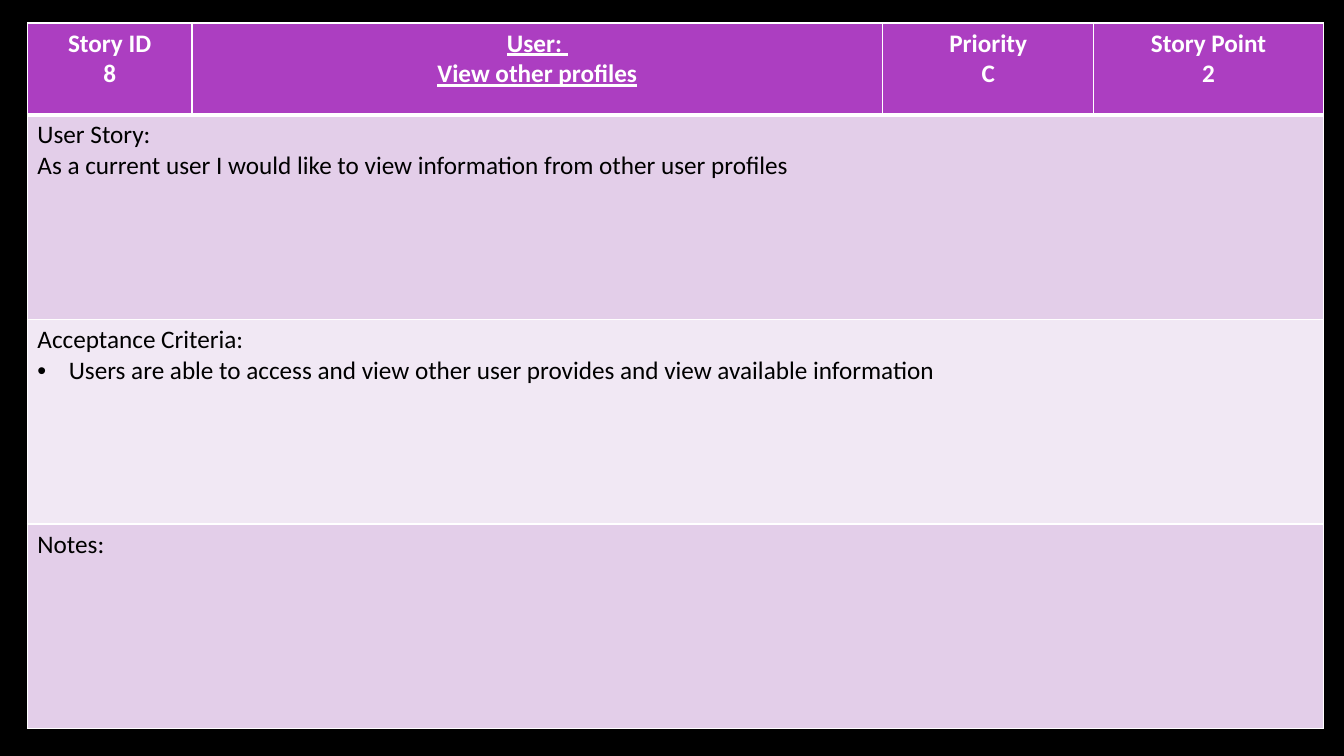
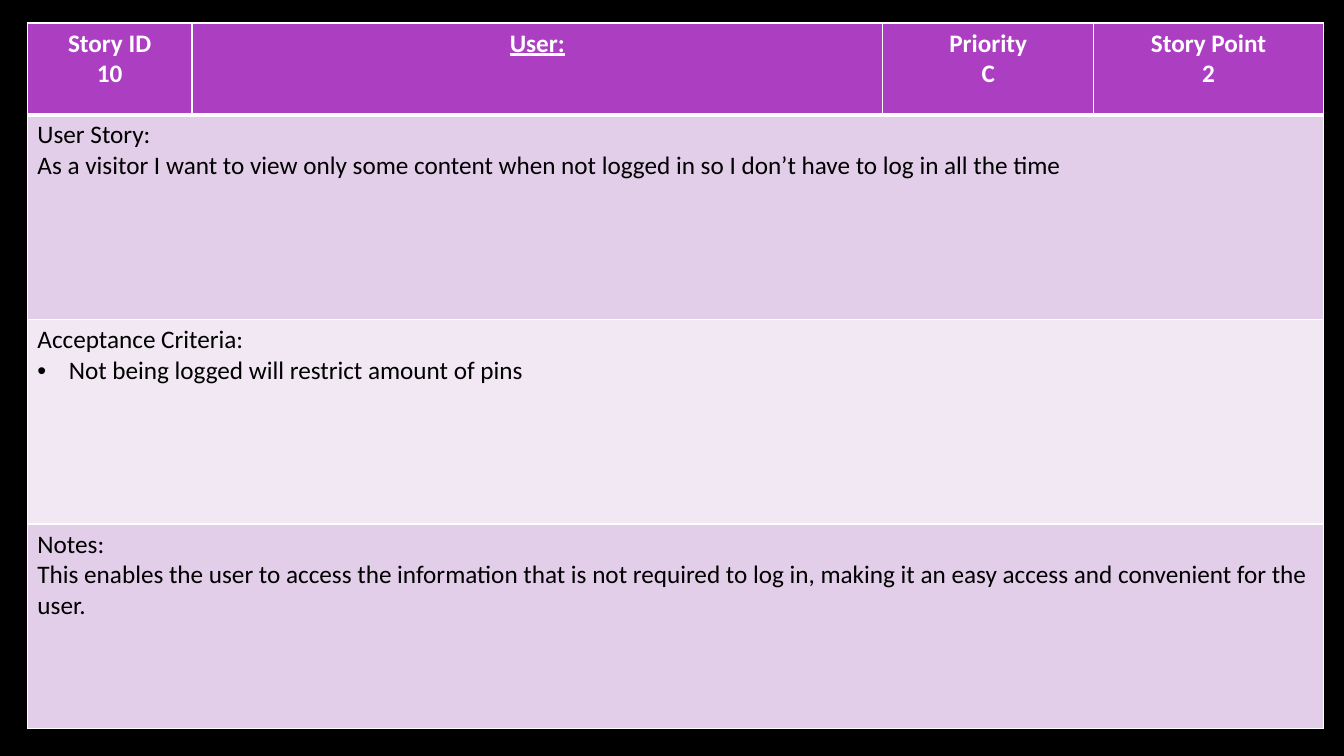
import pptx
import pptx.util
import pptx.dml.color
import pptx.enum.text
import pptx.oxml
import pptx.oxml.ns
import lxml.etree

Cm, Pt = pptx.util.Cm, pptx.util.Pt
RGBColor = pptx.dml.color.RGBColor
qn = pptx.oxml.ns.qn

BLACK = RGBColor(0x00, 0x00, 0x00)
WHITE = RGBColor(0xFF, 0xFF, 0xFF)
PURPLE = RGBColor(0xAC, 0x3E, 0xC1)
LILAC = RGBColor(0xE3, 0xCE, 0xE9)
PALE = RGBColor(0xF1, 0xE8, 0xF4)

FONT, SIZE = "Calibri", Pt(18)
THIN, THICK = Pt(1), Pt(3)
BULLET_INDENT = Cm(0.79)

# Card box and its proportions
CARD = (Cm(0.69), Cm(0.58), Cm(32.66), Cm(17.78))
COL_SHARES = (0.127, 0.533, 0.163, 0.177)
ROW_SHARES = (0.13, 0.29, 0.29, 0.29)

STORIES = [
    {
        "id": "8",
        "user": ["User: ", "View other profiles"],
        "priority": "C",
        "points": "2",
        "story": "As a current user I would like to view information "
                 "from other user profiles",
        "criteria": ["Users are able to access and view other user provides "
                     "and view available information"],
        "notes": [],
    },
    {
        "id": "10",
        "user": ["User:"],
        "priority": "C",
        "points": "2",
        "story": "As a visitor I want to view only some content when not "
                 "logged in so I don’t have to log in all the time",
        "criteria": ["Not being logged will restrict amount of pins"],
        "notes": ["This enables the user to access the information that is "
                  "not required to log in, making it an easy access and "
                  "convenient for the user."],
    },
]


def set_borders(cell, top, bottom):
    """Draw white lines on all four sides of a cell."""
    tcPr = cell._tc.get_or_add_tcPr()
    for side, width in (("L", THIN), ("R", THIN), ("T", top), ("B", bottom)):
        ln = lxml.etree.SubElement(tcPr, qn(f"a:ln{side}"), w=str(int(width)))
        fill = lxml.etree.SubElement(ln, qn("a:solidFill"))
        lxml.etree.SubElement(fill, qn("a:srgbClr"), val=str(WHITE))


def set_bullet(p):
    pPr = p._p.get_or_add_pPr()
    pPr.set("marL", str(int(BULLET_INDENT)))
    pPr.set("indent", str(-int(BULLET_INDENT)))
    lxml.etree.SubElement(pPr, qn("a:buFont"), typeface="Arial")
    lxml.etree.SubElement(pPr, qn("a:buChar"), char="•")


def write_lines(cell, lines, color, header=False, underline=False):
    """Write one paragraph per line and return the paragraphs."""
    tf = cell.text_frame
    for i, line in enumerate(lines):
        p = tf.paragraphs[0] if i == 0 else tf.add_paragraph()
        if header:
            p.alignment = pptx.enum.text.PP_ALIGN.CENTER
        r = p.add_run()
        r.text = line
        r.font.name, r.font.size = FONT, SIZE
        r.font.bold, r.font.underline = header, underline
        r.font.color.rgb = color
    return tf.paragraphs


def fill_cell(cell, color):
    cell.fill.solid()
    cell.fill.fore_color.rgb = color


def add_header(table, story):
    """Top row: story ID, user, priority and points."""
    columns = (["Story ID", story["id"]], story["user"],
               ["Priority", story["priority"]],
               ["Story Point", story["points"]])
    for col, lines in enumerate(columns):
        cell = table.cell(0, col)
        set_borders(cell, THIN, THICK)
        fill_cell(cell, PURPLE)
        write_lines(cell, lines, WHITE, header=True, underline=(col == 1))


def add_section(table, row, lines, color, bulleted=False):
    """Full-width row: a label with its text below."""
    for cell in table.rows[row].cells:
        set_borders(cell, THICK if row == 1 else THIN, THIN)
        fill_cell(cell, color)
    cell = table.cell(row, 0)
    cell.merge(table.cell(row, len(COL_SHARES) - 1))
    paragraphs = write_lines(cell, lines, BLACK)
    if bulleted:
        for p in paragraphs[1:]:
            set_bullet(p)


def add_story_card(s, box, story):
    left, top, width, height = box
    table = s.shapes.add_table(len(ROW_SHARES), len(COL_SHARES),
                               left, top, width, height).table
    for column, share in zip(table.columns, COL_SHARES):
        column.width = int(width * share)
    for row, share in zip(table.rows, ROW_SHARES):
        row.height = int(height * share)

    add_header(table, story)
    add_section(table, 1, ["User Story:", story["story"]], LILAC)
    add_section(table, 2, ["Acceptance Criteria:", *story["criteria"]], PALE,
                bulleted=True)
    add_section(table, 3, ["Notes:", *story["notes"]], LILAC)


def main():
    prs = pptx.Presentation()
    prs.slide_width, prs.slide_height = Cm(33.87), Cm(19.05)

    # Black background shared by every slide
    background = prs.slide_master.background.fill
    background.solid()
    background.fore_color.rgb = BLACK

    for story in STORIES:
        s = prs.slides.add_slide(prs.slide_layouts[6])
        add_story_card(s, CARD, story)
    prs.save("out.pptx")


if __name__ == "__main__":
    main()
